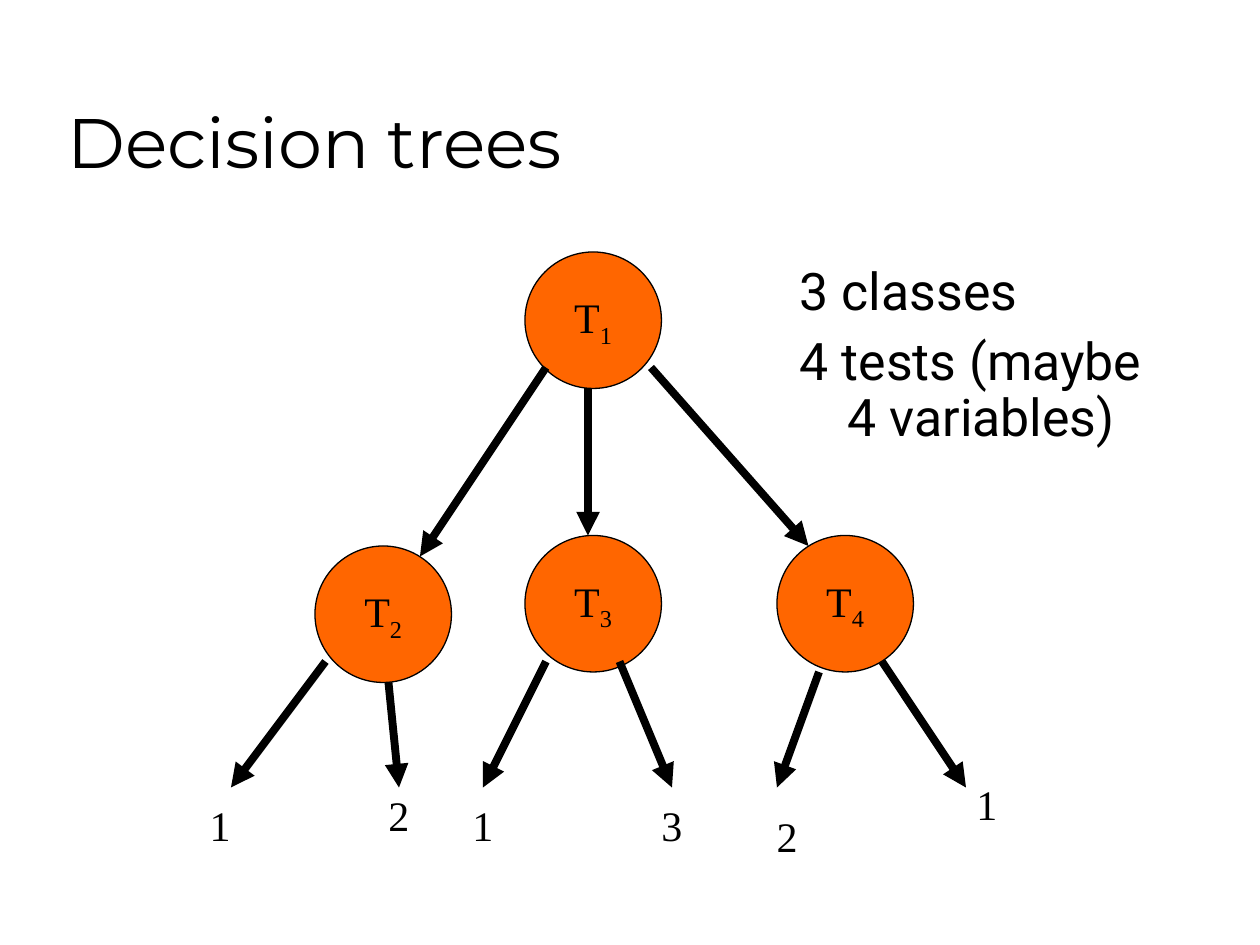
from lxml import etree
from pptx import Presentation
from pptx import util as u
from pptx.dml.color import RGBColor
from pptx.enum import shapes, text
from pptx.oxml import ns

BLACK, ORANGE = "000000", "FF6600"
SERIF = "Times New Roman"


def grid(*cells):
    """Turn counts of grid cells, twelve to the inch, into lengths."""
    return [u.Inches(cell / 12) for cell in cells]


def style(para, font, size):
    for span in para.runs:
        span.font.name = font
        span.font.size = u.Pt(size)
        span.font.color.rgb = RGBColor.from_string(BLACK)


deck = Presentation()
deck.slide_width, deck.slide_height = grid(120, 90)
page = deck.slides.add_slide(deck.slide_layouts[5])

title = page.shapes.title
title.left, title.top, title.width, title.height = grid(5.25, 3, 102, 15)
frame = title.text_frame
frame.text = "Decision trees"
frame.auto_size = text.MSO_AUTO_SIZE.NONE
frame.vertical_anchor = text.MSO_ANCHOR.BOTTOM
frame.paragraphs[0].alignment = text.PP_ALIGN.LEFT
style(frame.paragraphs[0], "Montserrat", 40)

# Test nodes: number, left, top
for number, left, top in [("1", 50, 24), ("3", 50, 51), ("2", 30, 52), ("4", 74, 51)]:
    node = page.shapes.add_shape(shapes.MSO_SHAPE.OVAL, *grid(left, top, 13, 13))
    node.shadow.inherit = False
    node.fill.solid()
    node.fill.fore_color.rgb = RGBColor.from_string(ORANGE)
    node.line.color.rgb = RGBColor.from_string(BLACK)
    node.line.width = u.Pt(0.75)
    node.text_frame.word_wrap = False
    node.text_frame.vertical_anchor = text.MSO_ANCHOR.MIDDLE
    para = node.text_frame.paragraphs[0]
    para.text = "T"
    para.alignment = text.PP_ALIGN.CENTER
    subscript = para.add_run()
    subscript.text = number
    style(para, SERIF, 24)
    subscript.font._element.set("baseline", "-25000")

# Branches: start x, start y, end x, end y
branches = [
    (52, 35, 40, 53), (56, 37, 56, 51), (62, 35, 77, 52),
    (31, 63, 22, 75), (37, 65, 38, 75),
    (52, 63, 46, 75), (59, 63, 64, 75),
    (78, 64, 74, 75), (84, 63, 92, 75),
]
for ends in branches:
    branch = page.shapes.add_connector(shapes.MSO_CONNECTOR.STRAIGHT, *grid(*ends))
    branch.line.color.rgb = RGBColor.from_string(BLACK)
    branch.line.width = u.Pt(4.5)
    etree.SubElement(branch.line._get_or_add_ln(), ns.qn("a:tailEnd"), type="triangle")
    etree.SubElement(branch._element.spPr, ns.qn("a:effectLst"))

# Leaves: class, left, top
leaves = [("1", 18.8, 75.6), ("2", 35.8, 74.6), ("1", 43.8, 75.6),
          ("3", 61.8, 75.6), ("2", 72.8, 76.6), ("1", 91.8, 73.6)]
for label, left, top in leaves:
    box = page.shapes.add_textbox(*grid(left, top, 4.3, 6))
    box.text_frame.text = label
    box.text_frame.word_wrap = False
    box.text_frame.auto_size = text.MSO_AUTO_SIZE.SHAPE_TO_FIT_TEXT
    style(box.text_frame.paragraphs[0], SERIF, 24)

notes = page.shapes.add_textbox(*grid(75, 24.75, 38.25, 24.25)).text_frame
notes.word_wrap = True
notes.text = "3 classes\n4 tests (maybe 4 variables)"
for para in notes.paragraphs:
    para.line_spacing = 0.9
    para.space_before = u.Pt(8)
    indent = u.Inches(0.38)
    properties = para._p.get_or_add_pPr()
    properties.set("marL", str(indent))
    properties.set("indent", str(-indent))
    style(para, "Roboto", 29.6)

deck.save("out.pptx")
